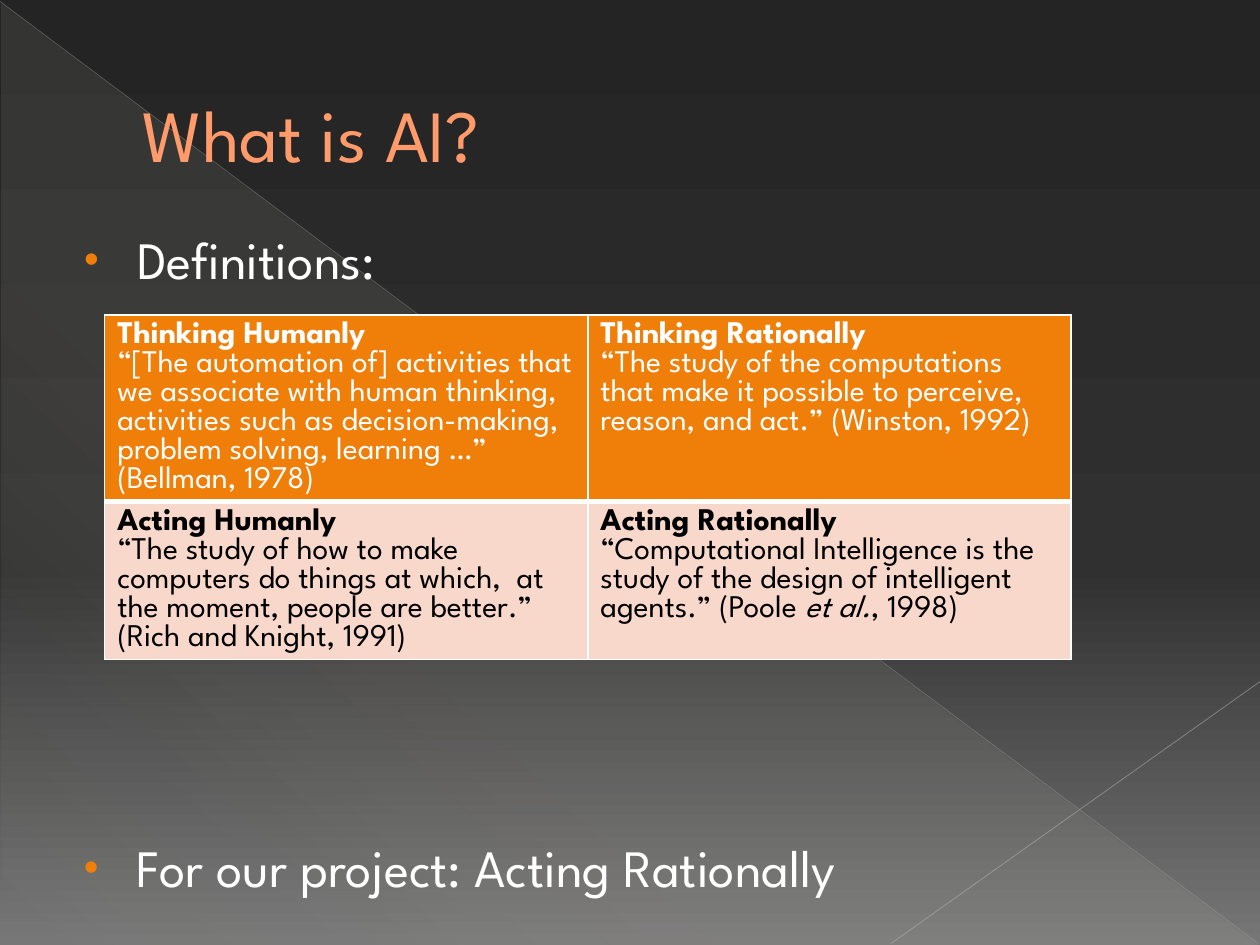
from lxml.etree import SubElement
from pptx import Presentation
from pptx.dml.color import RGBColor
from pptx.enum.shapes import MSO_CONNECTOR as Connector, MSO_SHAPE as Shape
from pptx.enum.text import MSO_ANCHOR as Anchor, MSO_AUTO_SIZE as AutoSize, PP_ALIGN as Align
from pptx.oxml.ns import qn
from pptx.util import Cm, Pt

FONT = "League Spartan"
WHITE = RGBColor(0xFF, 0xFF, 0xFF)
BLACK = RGBColor(0x00, 0x00, 0x00)
ORANGE = RGBColor(0xF0, 0x7F, 0x09)
BLUSH = RGBColor(0xF9, 0xD8, 0xCC)
SALMON = RGBColor(0xFF, 0x9B, 0x6A)
BROWN = RGBColor(0xA6, 0x58, 0x06)
CREAM = RGBColor(0xE3, 0xDE, 0xD1)
SILVER = RGBColor(0xB6, 0xB6, 0xB6)
LIGHT_GREY = RGBColor(0xBF, 0xBF, 0xBF)
NIGHT = RGBColor(0x24, 0x24, 0x24)
CHARCOAL = RGBColor(0x30, 0x30, 0x30)
STEEL = RGBColor(0x76, 0x76, 0x76)

DEFINITIONS = [
    [
        ("Thinking Humanly", ["“[The automation of] activities that we associate with human thinking, "
                              "activities such as decision-making, problem solving, learning …” "
                              "(Bellman, 1978)"]),
        ("Thinking Rationally", ["“The study of the computations that make it possible to perceive, "
                                 "reason, and act.” (Winston, 1992)"]),
    ],
    [
        ("Acting Humanly", ["“The study of how to make computers do things at which,  at the moment, "
                            "people are better.” (Rich and Knight, 1991)"]),
        ("Acting Rationally", ["“Computational Intelligence is the study of the design of intelligent "
                               "agents.” (Poole ", "et al.", ", 1998)"]),
    ],
]
ROW_STYLES = [(ORANGE, WHITE, 1, 3), (BLUSH, BLACK, 3, 1)]


def write(para, text, size=18, color=WHITE, bold=False, italic=False):
    span = para.add_run()
    span.text = text
    font = span.font
    font.name, font.size, font.bold, font.italic = FONT, Pt(size), bold, italic
    font.color.rgb = color
    return span


def add_solid(parent, color, alpha=100):
    swatch = SubElement(SubElement(parent, qn("a:solidFill")), qn("a:srgbClr"), val=str(color))
    if alpha < 100:
        SubElement(swatch, qn("a:alpha"), val=str(alpha * 1000))


def set_gradient(fill, owner, stops, angle):
    fill.gradient()
    fill.gradient_angle = 360 - angle
    stop_list = owner.find(".//" + qn("a:gsLst"))
    stop_list.clear()
    for position, color, alpha in stops:
        stop = SubElement(stop_list, qn("a:gs"), pos=str(position * 1000))
        swatch = SubElement(stop, qn("a:srgbClr"), val=str(color))
        SubElement(swatch, qn("a:alpha"), val=str(alpha * 1000))


def place(shape, box):
    shape.left, shape.top, shape.width, shape.height = box


def add_backdrop(page, box):
    left, top, width, height = box
    set_gradient(page.background.fill, page.element,
                 [(0, NIGHT, 100), (60, CHARCOAL, 100), (100, STEEL, 100)], 90)
    triangle = page.shapes.add_shape(Shape.RIGHT_TRIANGLE, left + Cm(0.03), top + Cm(0.05),
                                     width - Cm(0.05), height - Cm(0.05))
    triangle.shadow.inherit = False
    triangle.line.fill.background()
    set_gradient(triangle.fill, triangle.element,
                 [(0, CREAM, 10), (70, CREAM, 8), (100, CREAM, 1)], 133)
    parts = [triangle]
    bottom = top + height - Cm(0.03)
    for start, end, color, weight, alpha in [
        ((left, top + Cm(0.03)), (left + width - Cm(0.03), bottom), SILVER, 0.39, 35),
        ((left + width, top + Cm(13.74)), (left + Cm(17.96), bottom), LIGHT_GREY, 0.47, 45),
    ]:
        line = page.shapes.add_connector(Connector.STRAIGHT, *start, *end)
        line.line.width = Pt(weight)
        add_solid(line.line._get_or_add_ln(), color, alpha)
        SubElement(line.element.spPr, qn("a:effectLst"))
        parts.append(line)
    for part in parts:
        page.shapes.title.element.addprevious(part.element)


def add_title(page, box, text):
    title = page.shapes.title
    place(title, box)
    frame = title.text_frame
    frame.vertical_anchor = Anchor.MIDDLE
    frame.auto_size = AutoSize.NONE
    para = frame.paragraphs[0]
    para.alignment = Align.LEFT
    para._p.get_or_add_pPr().set("marL", str(Cm(1.35)))
    span = write(para, text, size=42, color=SALMON)
    outline = span.font._element.makeelement(qn("a:ln"), {"w": str(Pt(0.5))})
    add_solid(outline, BROWN)
    span.font._element.insert(0, outline)


def add_bullet(shape, box, text):
    place(shape, box)
    frame = shape.text_frame
    frame.word_wrap = True
    frame.auto_size = AutoSize.NONE
    para = frame.paragraphs[0]
    props = para._p.get_or_add_pPr()
    props.set("marL", str(Cm(1.24)))
    props.set("indent", str(Cm(-1.07)))
    SubElement(SubElement(props, qn("a:spcBef")), qn("a:spcPct"), val="20000")
    SubElement(SubElement(props, qn("a:buClr")), qn("a:srgbClr"), val=str(ORANGE))
    SubElement(props, qn("a:buSzPct"), val="80000")
    SubElement(props, qn("a:buFont"), typeface="Arial")
    SubElement(props, qn("a:buChar"), char="•")
    write(para, text, size=30)


def set_borders(cell, **weights):
    props = cell._tc.get_or_add_tcPr()
    for side, weight in weights.items():
        add_solid(SubElement(props, qn("a:ln" + side), w=str(Pt(weight))), WHITE)


def add_definitions(page, box):
    table = page.shapes.add_table(2, 2, *box).table
    table.horz_banding = False
    for row, entries, style in zip(table.rows, DEFINITIONS, ROW_STYLES):
        row.height = Cm(1.04)
        fill, color, above, below = style
        for cell, (heading, quote) in zip(row.cells, entries):
            set_borders(cell, L=1, R=1, T=above, B=below)
            cell.fill.solid()
            cell.fill.fore_color.rgb = fill
            frame = cell.text_frame
            write(frame.paragraphs[0], heading, color=color, bold=True)
            para = frame.add_paragraph()
            for index, text in enumerate(quote):
                write(para, text, color=color, italic=index == 1)


def main():
    deck = Presentation()
    deck.slide_width, deck.slide_height = Cm(25.4), Cm(19.05)
    page = deck.slides.add_slide(deck.slide_layouts[1])
    left, width = Cm(1.27), Cm(22.86)
    add_backdrop(page, (0, 0, deck.slide_width, deck.slide_height))
    add_title(page, (left, Cm(0.74), width, Cm(3.89)), "What is AI?")
    add_bullet(page.placeholders[1], (left, Cm(4.45), width, Cm(11.43)), "Definitions:")
    add_definitions(page, (Cm(2.11), Cm(6.35), Cm(19.48), Cm(2.08)))
    closing_box = (left, Cm(16.71), width, Cm(1.9))
    add_bullet(page.shapes.add_textbox(*closing_box), closing_box, "For our project: Acting Rationally")
    deck.save("out.pptx")


if __name__ == "__main__":
    main()
